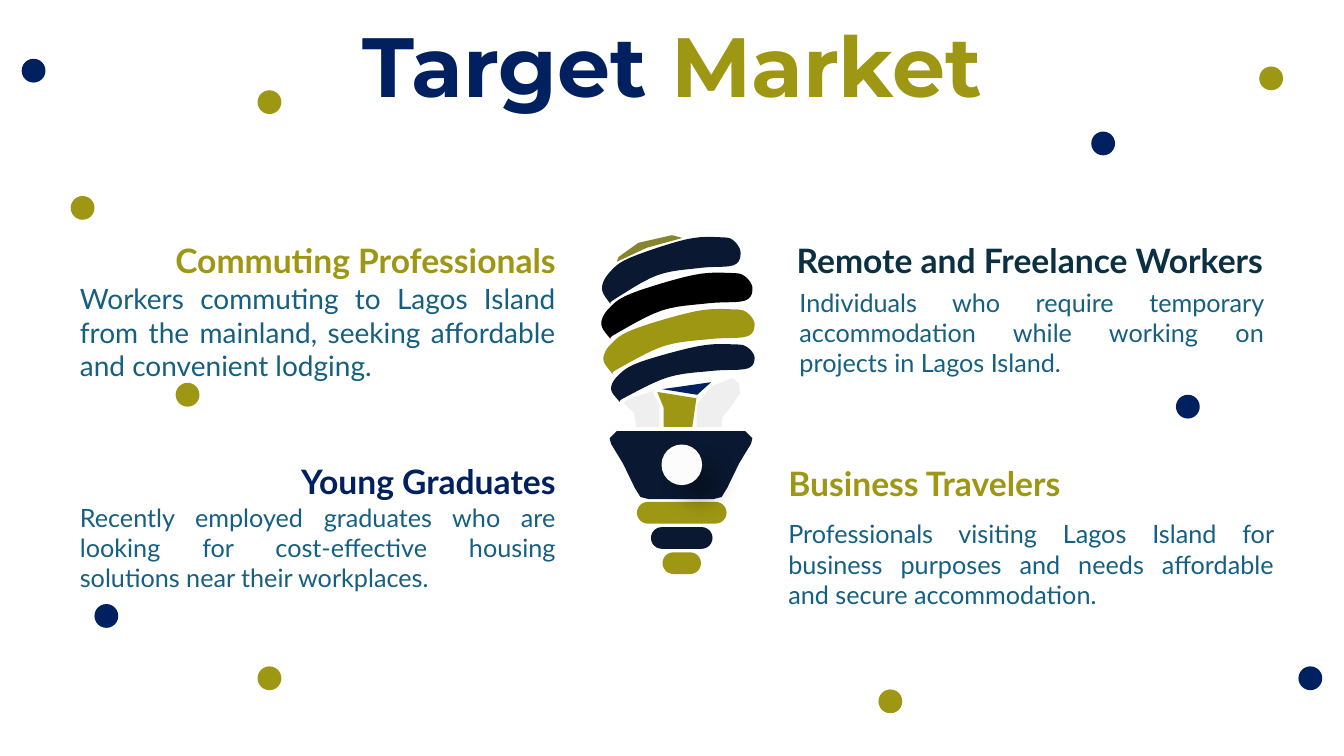
"""Build the Target Market slide: four customer groups around a light bulb."""
import pptx
import pptx.dml.color
import pptx.enum.shapes
import pptx.enum.text
import pptx.oxml
import pptx.oxml.ns
import pptx.util

Pt = pptx.util.Pt
RGBColor = pptx.dml.color.RGBColor
SHAPE = pptx.enum.shapes.MSO_SHAPE
ALIGN = pptx.enum.text.PP_ALIGN

OLIVE = RGBColor(0x9E, 0x97, 0x14)
DARK_OLIVE = RGBColor(0x85, 0x85, 0x2D)
NAVY = RGBColor(0x00, 0x20, 0x60)
MIDNIGHT = RGBColor(0x0A, 0x19, 0x31)
PETROL = RGBColor(0x0B, 0x30, 0x41)
TEAL = RGBColor(0x15, 0x60, 0x82)
BLACK = RGBColor(0x00, 0x00, 0x00)
GLASS = RGBColor(0xEF, 0xEF, 0xEF)
OFF_WHITE = RGBColor(0xFC, 0xFC, 0xFC)

DOT_SIZE = 17
DOT_CENTRES = {
    OLIVE: [(59, 148.5), (192.5, 73), (636, 501), (908, 56), (192.5, 484.5), (134, 282)],
    NAVY: [(24, 50.5), (936, 484.5), (788, 102.5), (848.5, 290.5), (76, 440)],
}

BULB_AXIS = 487
CAP_TOP, CAP_HEIGHT, CAP_STEP = 358.5, 15.5, 18
CAPS = [(64, OLIVE), (44, MIDNIGHT), (27.5, OLIVE)]

COIL_PERCENT = [(6, 100), (10, 92), (40, 57), (71, 46), (95, 42), (100, 23),
                (95, 5), (86, 0), (61, 3), (20, 31), (5, 54), (0, 78), (6, 100)]
COILS = [
    (BLACK, 429.5, 195, 108, 47),
    (OLIVE, 431, 221, 108, 46),
    (MIDNIGHT, 436.5, 246, 102.5, 41),
    (MIDNIGHT, 430, 169.5, 99, 47.5),
]
CURVE_STEPS = 6

BULB_PARTS = [
    (GLASS, [(515.5, 305), (516, 298), (524, 288), (528.5, 281), (528, 274),
             (523, 270), (508, 276), (498, 289), (497.5, 305)]),
    (OLIVE, [(474, 305), (474, 291), (469.5, 280), (497.5, 284.5), (494.5, 305)]),
    (GLASS, [(471, 305), (471, 290), (466, 279.5), (449, 285), (445.5, 288),
             (453, 295), (454.5, 305)]),
    (DARK_OLIVE, [(440.5, 187), (442, 183.5), (456, 173.5), (480, 168),
                  (487.5, 170), (462, 177)]),
    (NAVY, [(508, 273), (473, 278), (498, 282)]),
]
SOCKET_AXIS = 486.5
SOCKET_HALF = [(46, 308), (51, 313), (50, 317), (41.5, 331), (33, 348.5),
               (29, 355), (23, 356.5)]

GROUPS = [
    ("Commuting Professionals", OLIVE, ALIGN.RIGHT, (104, 168, 300),
     "Workers commuting to Lagos Island from the mainland, seeking affordable "
     "and convenient lodging.", 20, (50, 197.5, 354)),
    ("Young Graduates", NAVY, ALIGN.RIGHT, (202, 325.5, 202),
     "Recently employed graduates who are looking for cost-effective housing "
     "solutions near their workplaces.", 18, (50, 355, 354)),
    ("Remote and Freelance Workers", PETROL, ALIGN.LEFT, (562, 168, 360),
     "Individuals who require temporary accommodation while working on projects "
     "in Lagos Island.", 18, (564, 201.5, 346)),
    ("Business Travelers", OLIVE, ALIGN.LEFT, (556, 327, 220),
     "Professionals visiting Lagos Island for business purposes and needs affordable "
     "and secure accommodation.", 18, (556, 367, 361)),
]


def paint(shape, color):
    shape.shadow.inherit = False
    shape.fill.solid()
    shape.fill.fore_color.rgb = color
    shape.line.fill.background()


def add_preset(slide, kind, left, top, width, height, color):
    shape = slide.shapes.add_shape(kind, Pt(left), Pt(top), Pt(width), Pt(height))
    paint(shape, color)
    return shape


def add_dot(slide, x, y, size, color):
    return add_preset(slide, SHAPE.OVAL, x - size / 2, y - size / 2, size, size, color)


def add_outline(slide, color, outline):
    points = [(Pt(x), Pt(y)) for x, y in outline]
    builder = slide.shapes.build_freeform(*points[0])
    builder.add_line_segments(points[1:], close=True)
    paint(builder.convert_to_shape(), color)


def smooth(points):
    """Run a Catmull-Rom curve through the points, sharp at both ends."""
    padded = [points[0], *points, points[-1]]
    curve = [points[0]]
    for a, b, c, d in zip(padded, padded[1:], padded[2:], padded[3:]):
        for step in range(1, CURVE_STEPS + 1):
            t = step / CURVE_STEPS
            curve.append(tuple(
                q + t * (r - p + t * (2 * p - 5 * q + 4 * r - s
                                      + t * (3 * (q - r) + s - p))) / 2
                for p, q, r, s in zip(a, b, c, d)))
    return curve


def add_soft_shadow(shape):
    effects = shape._element.spPr.find(pptx.oxml.ns.qn("a:effectLst"))
    effects.append(pptx.oxml.parse_xml(
        f'<a:outerShdw {pptx.oxml.ns.nsdecls("a")} blurRad="{Pt(15)}" dist="{Pt(18)}" '
        'dir="2700000" algn="tl" rotWithShape="0"><a:srgbClr val="000000">'
        '<a:alpha val="30000"/></a:srgbClr></a:outerShdw>'))


def add_bulb(slide):
    for row, (width, color) in enumerate(CAPS):
        cap = add_preset(slide, SHAPE.ROUNDED_RECTANGLE, BULB_AXIS - width / 2,
                         CAP_TOP + row * CAP_STEP, width, CAP_HEIGHT, color)
        cap.adjustments[0] = 0.5
    coil = smooth(COIL_PERCENT)
    for color, left, top, width, height in COILS:
        add_outline(slide, color, [(left + x * width / 100, top + y * height / 100)
                                   for x, y in coil])
    for color, outline in BULB_PARTS:
        add_outline(slide, color, outline)
    add_outline(slide, MIDNIGHT,
                [(SOCKET_AXIS - x, y) for x, y in SOCKET_HALF]
                + [(SOCKET_AXIS + x, y) for x, y in reversed(SOCKET_HALF)])
    add_soft_shadow(add_dot(slide, BULB_AXIS, 332, 29, OFF_WHITE))


def add_run(paragraph, text, size, color, bold=False, font="Lato"):
    run = paragraph.add_run()
    run.text = text
    run.font.name = font
    run.font.size = Pt(size)
    run.font.bold = bold
    run.font.color.rgb = color


def add_text(slide, place, height, align, text, size, color, bold=False):
    left, top, width = place
    frame = slide.shapes.add_textbox(Pt(left), Pt(top), Pt(width), Pt(height)).text_frame
    frame.word_wrap = True
    frame.paragraphs[0].alignment = align
    add_run(frame.paragraphs[0], text, size, color, bold)


def fill_title(slide):
    title = slide.shapes.title
    title.left, title.top, title.width, title.height = Pt(200), Pt(6), Pt(560), Pt(80)
    frame = title.text_frame
    frame.auto_size = pptx.enum.text.MSO_AUTO_SIZE.NONE
    frame.vertical_anchor = pptx.enum.text.MSO_ANCHOR.TOP
    frame.paragraphs[0].alignment = ALIGN.CENTER
    for word, color in (("Target ", NAVY), ("Market", OLIVE)):
        add_run(frame.paragraphs[0], word, 60, color, True, "Montserrat")


def main():
    deck = pptx.Presentation()
    deck.slide_width, deck.slide_height = Pt(960), Pt(540)
    slide = deck.slides.add_slide(deck.slide_layouts[5])
    fill_title(slide)
    for color, centres in DOT_CENTRES.items():
        for x, y in centres:
            add_dot(slide, x, y, DOT_SIZE, color)
    add_bulb(slide)
    for name, color, align, name_place, description, size, place in GROUPS:
        add_text(slide, name_place, 36, align, name, 24, color, True)
        add_text(slide, place, 3.6 * size + 7.2, ALIGN.JUSTIFY, description, size, TEAL)
    deck.save("out.pptx")


if __name__ == "__main__":
    main()
